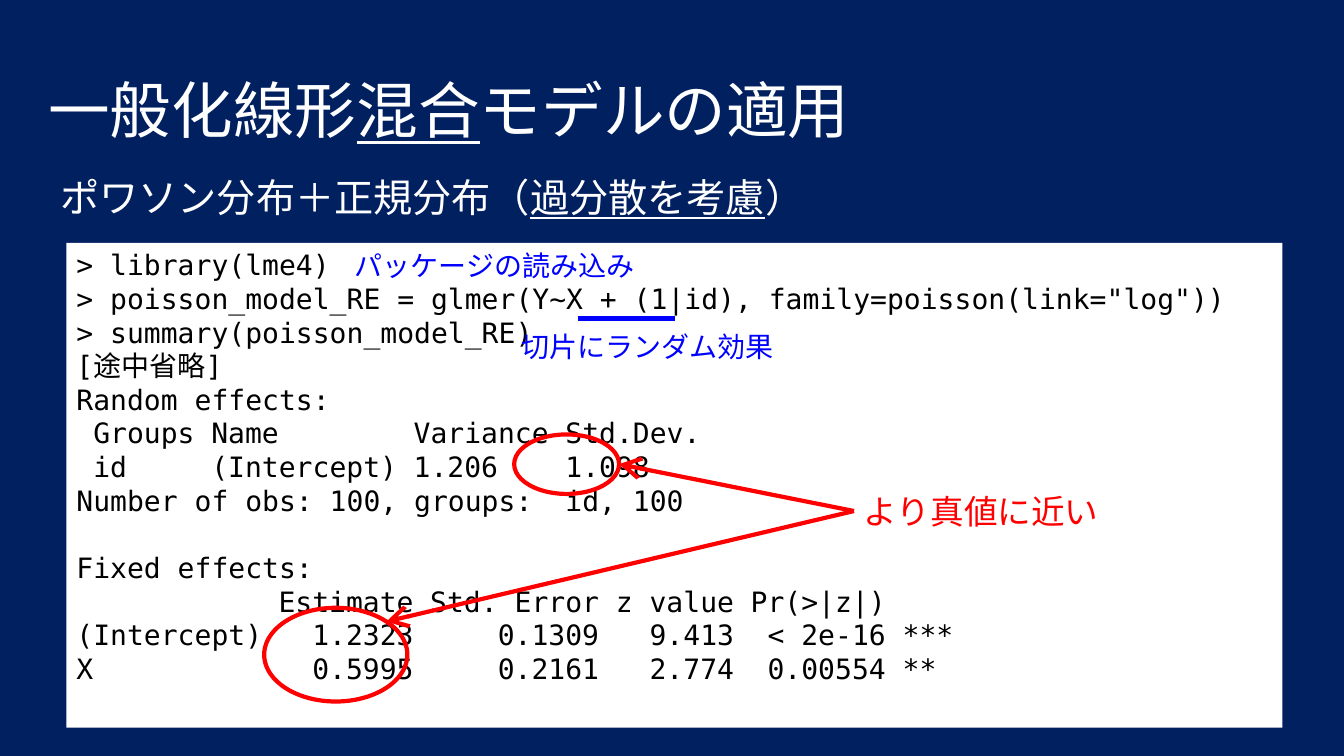
from dataclasses import dataclass
from math import cos, pi, sin

from lxml.etree import SubElement
from pptx import Presentation
from pptx.dml.color import RGBColor
from pptx.enum.shapes import MSO_CONNECTOR, MSO_SHAPE
from pptx.enum.text import MSO_ANCHOR, PP_ALIGN
from pptx.oxml.ns import qn
from pptx.util import Inches, Pt


@dataclass(frozen=True)
class Theme:
    navy: RGBColor = RGBColor(0x00, 0x20, 0x60)
    white: RGBColor = RGBColor(0xFF, 0xFF, 0xFF)
    black: RGBColor = RGBColor(0x00, 0x00, 0x00)
    red: RGBColor = RGBColor(0xFF, 0x00, 0x00)
    blue: RGBColor = RGBColor(0x00, 0x00, 0xFF)
    mono: str = "DejaVu Sans Mono"
    japanese: str = "Noto Sans CJK JP"
    title: int = 44
    subtitle: int = 28
    callout: int = 24
    code: int = 20
    stroke: int = 3


THEME = Theme()
CODE_CHAR = THEME.code * 0.6 / 71.75
GROUP_TABS = [("l", column) for column in (8, 20, 29)]
COEFFICIENT_TABS = [("r", column) for column in (20, 31, 39, 48)] + [("l", 49)]

CONSOLE = [
    ("> library(lme4)", [], {}),
    ("> poisson_model_RE = glmer(Y~X + (1|id), family=poisson(link=\"log\"))", [], {}),
    ("> summary(poisson_model_RE)", [], {}),
    ("[途中省略]", [], {}),
    ("Random effects:", [], {}),
    (" Groups\tName\tVariance\tStd.Dev.", GROUP_TABS, {}),
    (" id\t(Intercept)\t1.206\t1.098", GROUP_TABS, {}),
    ("Number of obs: 100, groups:\tid, 100", GROUP_TABS, {}),
    ("Fixed effects:", [], {"space_before": Pt(24)}),
    ("\tEstimate\tStd. Error\tz value\tPr(>|z|)", COEFFICIENT_TABS, {}),
    ("(Intercept)\t1.2323\t0.1309\t9.413\t< 2e-16\t***", COEFFICIENT_TABS, {}),
    ("X\t0.5995\t0.2161\t2.774\t0.00554\t**", COEFFICIENT_TABS, {}),
]


def apply_format(target, values):
    for name, value in values.items():
        setattr(target, name, value)


def add_run(paragraph, wording, size, color, face=THEME.mono, underline=False):
    run = paragraph.add_run()
    run.text = wording
    apply_format(run.font, {"size": Pt(size), "name": face, "underline": underline})
    run.font.color.rgb = color
    SubElement(run.font._element, qn("a:ea")).set("typeface", THEME.japanese)


def add_tabs(paragraph, tabs):
    tab_list = SubElement(paragraph._p.get_or_add_pPr(), qn("a:tabLst"))
    for side, column in tabs:
        stop = SubElement(tab_list, qn("a:tab"))
        stop.set("pos", str(Inches(column * CODE_CHAR)))
        stop.set("algn", side)


def add_text(slide, box, runs, size, color, face=THEME.mono,
             frame_format=None, paragraph_format=None):
    label = slide.shapes.add_textbox(*map(Inches, box))
    apply_format(label.text_frame, {"word_wrap": True, **(frame_format or {})})
    paragraph = label.text_frame.paragraphs[0]
    apply_format(paragraph, paragraph_format or {})
    for wording, underline in runs:
        add_run(paragraph, wording, size, color, face, underline)
    return label


def add_note(slide, box, wording, size, color):
    return add_text(slide, box, [(wording, False)], size, color,
                    frame_format={"word_wrap": False})


def add_line(slide, start, end, color, arrow=False):
    line = slide.shapes.add_connector(
        MSO_CONNECTOR.STRAIGHT, *map(Inches, (*start, *end)))
    line.line.color.rgb = color
    line.line.width = Pt(THEME.stroke)
    if arrow:
        head = SubElement(line.line._get_or_add_ln(), qn("a:tailEnd"))
        for name, value in {"type": "arrow", "w": "lg", "len": "lg"}.items():
            head.set(name, value)
    SubElement(line._element.spPr, qn("a:effectLst"))
    return line


def add_ring(slide, box):
    ring = slide.shapes.add_shape(MSO_SHAPE.OVAL, *map(Inches, box))
    ring.shadow.inherit = False
    ring.fill.background()
    ring.line.color.rgb = THEME.red
    ring.line.width = Pt(THEME.stroke)


def ring_point(box, angle):
    left, top, width, height = box
    return (left + width / 2 * (1 + cos(angle)),
            top + height / 2 * (1 - sin(angle)))


def build_heading(slide, box):
    left, top, width, height = box
    add_text(slide, box,
             [("一般化線形", False), ("混合", True), ("モデルの適用", False)],
             THEME.title, THEME.white,
             frame_format={"vertical_anchor": MSO_ANCHOR.MIDDLE},
             paragraph_format={"line_spacing": 0.9})
    add_text(slide, (left + 0.12, top + 1.27, width, 0.57),
             [("ポワソン分布＋正規分布（", False), ("過分散を考慮", True), ("）", False)],
             THEME.subtitle, THEME.white, THEME.japanese,
             paragraph_format={"space_after": Pt(18)})


def build_console(slide, box):
    console = slide.shapes.add_shape(MSO_SHAPE.RECTANGLE, *map(Inches, box))
    console.shadow.inherit = False
    console.fill.solid()
    console.fill.fore_color.rgb = THEME.white
    console.line.fill.background()
    frame = console.text_frame
    apply_format(frame, {"word_wrap": True, "vertical_anchor": MSO_ANCHOR.TOP})
    for index, (wording, tabs, spacing) in enumerate(CONSOLE):
        paragraph = frame.add_paragraph() if index else frame.paragraphs[0]
        apply_format(paragraph, {"alignment": PP_ALIGN.LEFT, **spacing})
        if tabs:
            add_tabs(paragraph, tabs)
        add_run(paragraph, wording, THEME.code, THEME.black)


def build_estimate_callout(slide, box):
    left, top, _, _ = box
    deviation = (left + 4.44, top + 1.9, 1.04, 0.59)
    estimates = (left + 1.96, top + 3.62, 1.42, 0.93)
    closer = add_note(slide, (left + 7.81, top + 2.41, 2.56, 0.5),
                      "より真値に近い", THEME.callout, THEME.red)
    for ring, angle in ((deviation, 0), (estimates, pi / 4)):
        add_ring(slide, ring)
        arrow = add_line(slide, (left + 7.81, top + 2.66),
                         ring_point(ring, angle), THEME.red, arrow=True)
        arrow.begin_connect(closer, 1)


def build_code_notes(slide, box):
    left, top, _, _ = box
    add_line(slide, (left + 5.07, top + 0.75), (left + 6.03, top + 0.75), THEME.blue)
    add_note(slide, (left + 4.41, top + 0.81, 2.73, 0.44),
             "切片にランダム効果", THEME.code, THEME.blue)
    add_note(slide, (left + 2.76, top + 0.01, 3.01, 0.44),
             "パッケージの読み込み", THEME.code, THEME.blue)


def main():
    presentation = Presentation()
    apply_format(presentation, {"slide_width": Inches(13.33), "slide_height": Inches(7.5)})
    slide = presentation.slides.add_slide(presentation.slide_layouts[6])
    slide.background.fill.solid()
    slide.background.fill.fore_color.rgb = THEME.navy
    console_box = (0.66, 2.41, 12.06, 4.81)
    build_heading(slide, (0.38, 0.4, 12.56, 1.45))
    build_console(slide, console_box)
    build_estimate_callout(slide, console_box)
    build_code_notes(slide, console_box)
    presentation.save("out.pptx")


if __name__ == "__main__":
    main()
